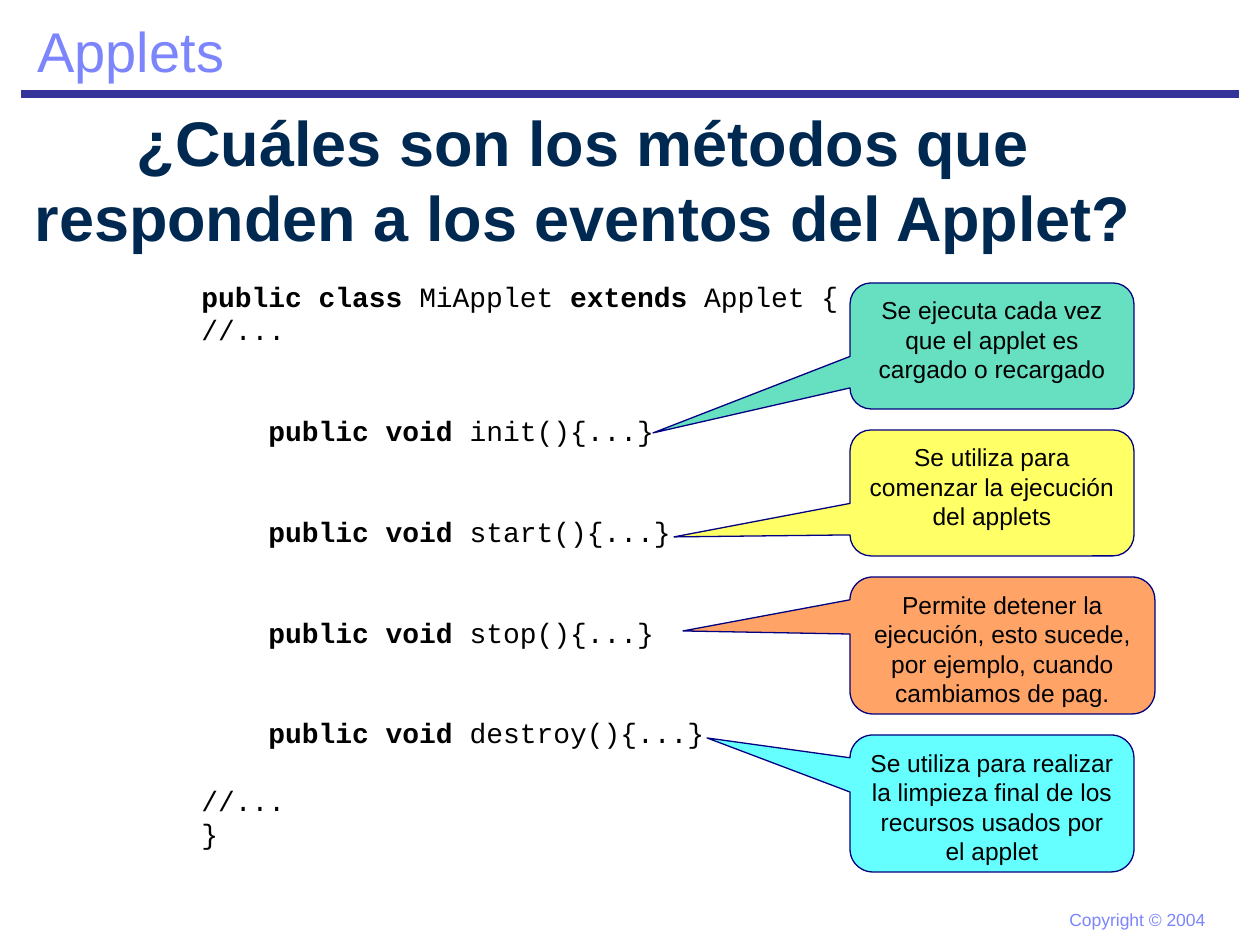
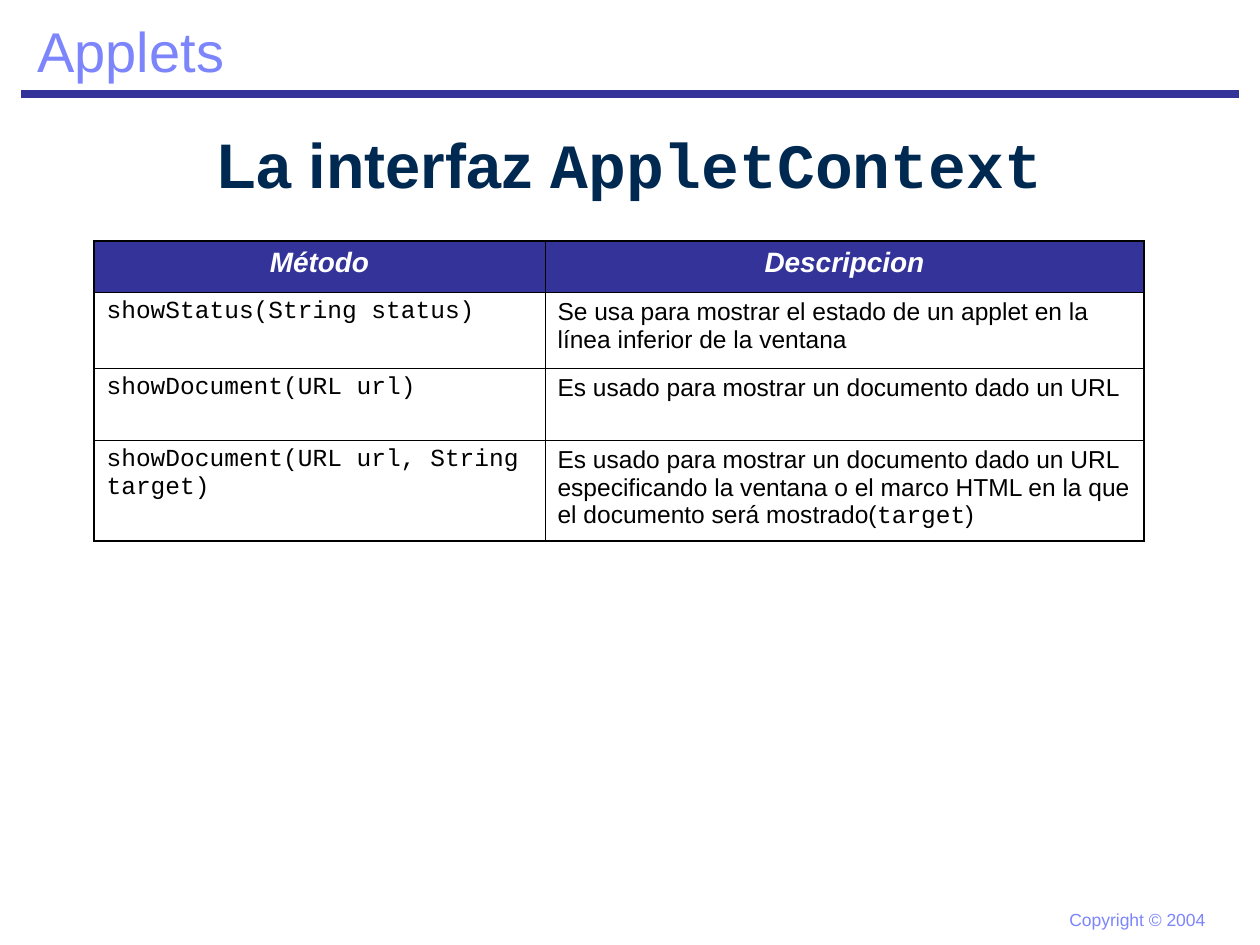
from lxml.etree import SubElement
from pptx import Presentation
from pptx.dml.color import RGBColor
from pptx.enum.shapes import MSO_CONNECTOR, MSO_SHAPE
from pptx.enum.text import MSO_ANCHOR, PP_ALIGN
from pptx.oxml.ns import qn
from pptx.util import Emu, Pt

EMU_PER_PX = 914400 / 126
LINE_PITCH = 1.2
SANS, MONO = "Arial", "Courier New"
BLACK, WHITE = "000000", "FFFFFF"
NAVY, TITLE_BLUE, PALE_BLUE, OUTLINE = "333399", "002952", "7C85FC", "000080"


def px(length):
    return Emu(round(length * EMU_PER_PX))


def rgb(value):
    return RGBColor.from_string(value)


class Deck:
    def __init__(self, width, height):
        self.presentation = Presentation()
        self.presentation.slide_width = px(width)
        self.presentation.slide_height = px(height)
        self.slide = None

    def new_slide(self):
        self.slide = self.presentation.slides.add_slide(self.presentation.slide_layouts[6])
        self.rule(21, 1239, 94)
        self.text((1057, 903, 161, 34), [("Copyright © 2004", {})], 10, PALE_BLUE, wrap=False)
        self.text((25, 10, 212, 81), [("Applets", {})], 32, PALE_BLUE, wrap=False)

    def rule(self, left, right, y):
        rule = self.slide.shapes.add_connector(
            MSO_CONNECTOR.STRAIGHT, px(left), px(y), px(right), px(y))
        rule.line.color.rgb = rgb(NAVY)
        rule.line.width = Pt(4.5)
        SubElement(rule._element.spPr, qn("a:effectLst"))

    def fill_paragraph(self, paragraph, runs, size, color, align=PP_ALIGN.LEFT, **base):
        paragraph.alignment = align
        for words, style in runs:
            look = {"font": SANS, "bold": False, "italic": False, **base, **style}
            run = paragraph.add_run()
            run.text = words
            run.font.name = look["font"]
            run.font.size = Pt(size)
            run.font.bold = look["bold"]
            run.font.italic = look["italic"]
            run.font.color.rgb = rgb(color)

    def box(self, bounds, wrap=True):
        frame = self.slide.shapes.add_textbox(*map(px, bounds)).text_frame
        frame.word_wrap = wrap
        return frame

    def text(self, bounds, runs, size, color, wrap=True, anchor=MSO_ANCHOR.TOP, **style):
        frame = self.box(bounds, wrap)
        frame.vertical_anchor = anchor
        paragraph = frame.paragraphs[0]
        paragraph.line_spacing = Pt(size * LINE_PITCH)
        self.fill_paragraph(paragraph, runs, size, color, **style)

    def title(self, bounds, runs):
        self.text(bounds, runs, 36, TITLE_BLUE, anchor=MSO_ANCHOR.MIDDLE,
                  align=PP_ALIGN.CENTER, bold=True)

    def code(self, bounds, lines, size=16):
        frame = self.box(bounds)
        pitch = size * LINE_PITCH
        for number, (gap, indent, runs) in enumerate(lines):
            paragraph = frame.add_paragraph() if number else frame.paragraphs[0]
            paragraph.line_spacing = Pt(pitch)
            paragraph.space_before = Pt(gap * pitch)
            paragraph._p.get_or_add_pPr().set("marL", str(px(indent)))
            self.fill_paragraph(paragraph, runs, size, BLACK, font=MONO)

    def callout(self, bounds, tip, color, words):
        left, top, width, height = bounds
        callout = self.slide.shapes.add_shape(
            MSO_SHAPE.ROUNDED_RECTANGULAR_CALLOUT, *map(px, bounds))
        callout.adjustments[0] = (tip[0] - left) / width - 0.5
        callout.adjustments[1] = (tip[1] - top) / height - 0.5
        callout.shadow.inherit = False
        callout.fill.solid()
        callout.fill.fore_color.rgb = rgb(color)
        tint = callout._element.spPr.find(qn("a:solidFill"))[0]
        SubElement(tint, qn("a:alpha"), val="60000")
        callout.line.color.rgb = rgb(OUTLINE)
        callout.line.width = Pt(0.75)
        frame = callout.text_frame
        frame.word_wrap = True
        frame.vertical_anchor = MSO_ANCHOR.TOP
        paragraph = frame.paragraphs[0]
        paragraph.line_spacing = Pt(14 * LINE_PITCH)
        self.fill_paragraph(paragraph, [(words, {})], 14, BLACK, PP_ALIGN.CENTER)

    def borders(self, cell, outer_edges):
        properties = cell._tc.get_or_add_tcPr()
        for side, outer in zip("LRTB", outer_edges):
            line = SubElement(properties, qn(f"a:ln{side}"), w=str(Pt(1.08 if outer else 0.45)))
            SubElement(SubElement(line, qn("a:solidFill")), qn("a:srgbClr"), val=BLACK)

    def table(self, left, top, widths, heights, rows):
        table = self.slide.shapes.add_table(
            len(rows), len(widths), px(left), px(top), px(sum(widths)), px(sum(heights))).table
        table.first_row = table.horz_banding = False
        for column, width in zip(table.columns, widths):
            column.width = px(width)
        last_row, last_column = len(rows) - 1, len(widths) - 1
        for r, row in enumerate(rows):
            table.rows[r].height = px(heights[r])
            for c, runs in enumerate(row):
                cell = table.cell(r, c)
                self.borders(cell, (c == 0, c == last_column, r == 0, r == last_row))
                paragraph = cell.text_frame.paragraphs[0]
                if r == 0:
                    cell.fill.solid()
                    cell.fill.fore_color.rgb = rgb(NAVY)
                    paragraph.space_before = Pt(4)
                    self.fill_paragraph(paragraph, runs, 16, WHITE, PP_ALIGN.CENTER,
                                        bold=True, italic=True)
                else:
                    cell.fill.background()
                    paragraph.space_before = Pt(3.5)
                    self.fill_paragraph(paragraph, runs, 14, BLACK)


def event_methods(deck):
    deck.new_slide()
    deck.title((0, 116, 1166, 126),
               [("¿Cuáles son los métodos que responden a los eventos del Applet?", {})])
    bold = {"bold": True}
    methods = [(2, 67, [("public void", bold), (f" {name}(){{...}}", {})])
               for name in ("init", "start", "stop", "destroy")]
    deck.code((189, 273, 1050, 599), [
        (0, 0, [("public class ", bold), ("MiApplet ", {}), ("extends", bold), (" Applet {", {})]),
        (0, 0, [("//...", {})]),
        *methods,
        (1, 0, [("//...", {})]),
        (0, 0, [("}", {})]),
    ])
    explanations = [
        (283, 284, 126, (653, 433), "00CC99",
         "Se ejecuta cada vez que el applet es cargado o recargado"),
        (430, 284, 126, (674, 537), "FFFF00",
         "Se utiliza para comenzar la ejecución del applets"),
        (577, 305, 137, (683, 631), "FF6600",
         "Permite detener la ejecución, esto sucede, por ejemplo, cuando cambiamos de pag."),
        (735, 284, 137, (707, 738), "00FFFF",
         "Se utiliza para realizar la limpieza final de los recursos usados por el applet"),
    ]
    for top, width, height, tip, color, words in explanations:
        deck.callout((850, top, width, height), tip, color, words)


def applet_context(deck):
    deck.new_slide()
    mono = {"font": MONO}
    deck.title((0, 105, 1260, 116), [("La interfaz ", {}), ("AppletContext", mono)])
    deck.table(94, 241, (451, 599), (51, 76, 72, 101), [
        ([("Método", {})], [("Descripcion", {})]),
        ([("showStatus(String status)", mono)],
         [("Se usa para mostrar el estado de un applet en la línea inferior de la ventana", {})]),
        ([("showDocument(URL url)", mono)],
         [("Es usado para mostrar un documento dado un URL", {})]),
        ([("showDocument(URL url, String target)", mono)],
         [("Es usado para mostrar un documento dado un URL especificando la ventana "
           "o el marco HTML en la que el documento será mostrado(", {}),
          ("target", mono), (")", {})]),
    ])


def main():
    deck = Deck(1260, 945)
    event_methods(deck)
    applet_context(deck)
    deck.presentation.save("out.pptx")


if __name__ == "__main__":
    main()
